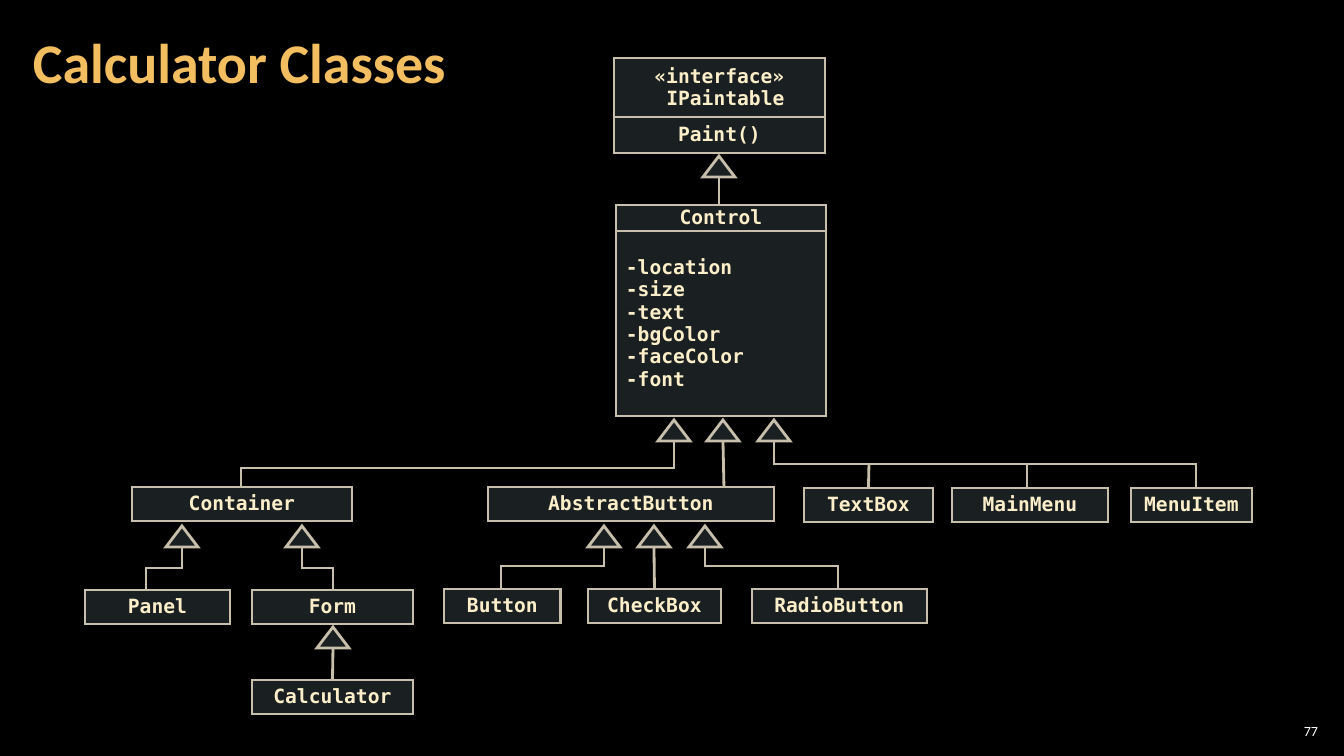
from dataclasses import dataclass

from lxml import etree
from pptx import Presentation
from pptx.dml.color import RGBColor
from pptx.enum.shapes import MSO_CONNECTOR, MSO_SHAPE
from pptx.enum.text import MSO_ANCHOR, PP_ALIGN
from pptx.oxml.ns import qn
from pptx.shapes.autoshape import Shape
from pptx.shapes.connector import Connector
from pptx.slide import Slide
from pptx.text.text import TextFrame
from pptx.util import Emu, Pt

SLIDE_WIDTH, SLIDE_HEIGHT = 1344, 756
EMU_PER_PX = 12192000 / SLIDE_WIDTH

BLACK = RGBColor(0x00, 0x00, 0x00)
WHITE = RGBColor(0xFF, 0xFF, 0xFF)
GOLD = RGBColor(0xF3, 0xBE, 0x60)
CREAM = RGBColor(0xFB, 0xEE, 0xC9)
SAND = RGBColor(0xC7, 0xBF, 0xAC)
ICE = RGBColor(0xB5, 0xDB, 0xE5)
ICE_ALPHA = "15000"

RECTANGLE = MSO_SHAPE.RECTANGLE
STRAIGHT = MSO_CONNECTOR.STRAIGHT
MIDDLE = MSO_ANCHOR.MIDDLE
LEFT, CENTER, RIGHT = PP_ALIGN.LEFT, PP_ALIGN.CENTER, PP_ALIGN.RIGHT
TOP_SITE = 0

SANS = "Calibri"
MONO = "DejaVu Sans Mono"
ARROW_HALF_WIDTH = 16
ARROW_HEIGHT = 21
CHARACTER_WIDTH = 12


@dataclass(frozen=True)
class ClassBox:
    lines: tuple[str, ...]
    left: int
    top: int
    width: int
    height: int = 34
    align: PP_ALIGN = CENTER
    last_line_margin: int = 0


@dataclass(frozen=True)
class Inheritance:
    tip_x: int
    tip_y: int
    child_x: int
    child_top: int
    bend_y: int = 0
    joined_child: str = ""


@dataclass(frozen=True)
class Branch:
    x: int
    top: int
    bottom: int
    joined_child: str = ""


@dataclass(frozen=True)
class Label:
    text: str
    left: int
    top: int
    width: int
    height: int
    side_inset: int
    size: int
    color: RGBColor
    bold: bool
    align: PP_ALIGN
    line_spacing: float


ATTRIBUTES = ("-location", "-size", "-text", "-bgColor", "-faceColor", "-font")

CLASS_BOXES = (
    ClassBox(("Paint()",), 614, 117, 211, 36),
    ClassBox(("«interface»", "IPaintable"), 614, 58, 211, 59,
             last_line_margin=CHARACTER_WIDTH),
    ClassBox(ATTRIBUTES, 616, 231, 210, 185, LEFT),
    ClassBox(("Control",), 616, 205, 210, 26),
    ClassBox(("Container",), 132, 487, 220),
    ClassBox(("AbstractButton",), 488, 487, 286),
    ClassBox(("TextBox",), 804, 488, 129),
    ClassBox(("MainMenu",), 952, 488, 156),
    ClassBox(("MenuItem",), 1131, 488, 121),
    ClassBox(("Panel",), 85, 590, 145),
    ClassBox(("Form",), 252, 590, 161),
    ClassBox(("Button",), 444, 589, 117),
    ClassBox(("CheckBox",), 588, 589, 133),
    ClassBox(("RadioButton",), 752, 589, 175),
    ClassBox(("Calculator",), 252, 680, 161),
)

INHERITANCES = (
    Inheritance(719, 156, 719, 205),
    Inheritance(674, 420, 241, 487, bend_y=468),
    Inheritance(723, 420, 724, 487),
    Inheritance(774, 420, 1196, 488, bend_y=464),
    Inheritance(182, 526, 146, 590, bend_y=568),
    Inheritance(302, 526, 333, 590, bend_y=568),
    Inheritance(604, 526, 501, 589, bend_y=566),
    Inheritance(654, 526, 654, 589, joined_child="CheckBox"),
    Inheritance(705, 526, 838, 589, bend_y=566),
    Inheritance(333, 627, 333, 680, joined_child="Calculator"),
)

BRANCHES = (
    Branch(869, 464, 488, "TextBox"),
    Branch(1027, 464, 488),
)

LABELS = (
    Label("Calculator Classes", 21, 4, 1055, 122, 12, 40, GOLD, True, LEFT, 0.9),
    Label("77", 1275, 720, 47, 21, 4, 10, WHITE, False, RIGHT, 1.0),
)


def px(length: int) -> Emu:
    return Emu(round(length * EMU_PER_PX))


def set_insets(frame: TextFrame, side: int, vertical: int) -> None:
    frame.margin_left = frame.margin_right = px(side)
    frame.margin_top = frame.margin_bottom = px(vertical)
    frame.word_wrap = True
    frame.vertical_anchor = MIDDLE


def style_line(shape: Shape | Connector) -> None:
    shape.line.color.rgb = SAND
    shape.line.width = Pt(2)
    outline = shape._element.spPr.find(qn("a:ln"))
    etree.SubElement(outline, qn("a:miter"), lim="800000")


def style_glass(shape: Shape) -> None:
    shape.shadow.inherit = False
    shape.fill.solid()
    shape.fill.fore_color.rgb = ICE
    color = shape._element.spPr.find(qn("a:solidFill")).find(qn("a:srgbClr"))
    etree.SubElement(color, qn("a:alpha"), val=ICE_ALPHA)
    style_line(shape)


def draw_label(slide: Slide, label: Label) -> None:
    box = slide.shapes.add_textbox(
        px(label.left), px(label.top), px(label.width), px(label.height))
    set_insets(box.text_frame, label.side_inset, 4)
    paragraph = box.text_frame.paragraphs[0]
    paragraph.text = label.text
    paragraph.alignment = label.align
    paragraph.line_spacing = label.line_spacing
    paragraph.font.name = SANS
    paragraph.font.size = Pt(label.size)
    paragraph.font.bold = label.bold
    paragraph.font.color.rgb = label.color


def draw_class_box(slide: Slide, box: ClassBox) -> Shape:
    shape = slide.shapes.add_shape(
        RECTANGLE, px(box.left), px(box.top), px(box.width), px(box.height))
    style_glass(shape)
    frame = shape.text_frame
    set_insets(frame, 10, 0)
    frame.text = "\n".join(box.lines)
    for paragraph in frame.paragraphs:
        paragraph.alignment = box.align
        paragraph.line_spacing = 0.95
        paragraph.font.name = MONO
        paragraph.font.size = Pt(14)
        paragraph.font.bold = True
        paragraph.font.color.rgb = CREAM
    if box.last_line_margin:
        properties = frame.paragraphs[-1]._p.get_or_add_pPr()
        properties.set("marL", str(px(box.last_line_margin)))
    return shape


def draw_outline(slide: Slide, points: list[tuple[int, int]], close: bool) -> Shape:
    builder = slide.shapes.build_freeform(*points[0], scale=EMU_PER_PX)
    builder.add_line_segments(points[1:], close=close)
    return builder.convert_to_shape()


def draw_straight(slide: Slide, start: tuple[int, int], end: tuple[int, int],
                  child: Shape | None) -> None:
    connector = slide.shapes.add_connector(
        STRAIGHT, px(start[0]), px(start[1]), px(end[0]), px(end[1]))
    if child is not None:
        connector.end_connect(child, TOP_SITE)
    style_line(connector)
    etree.SubElement(connector._element.spPr, qn("a:effectLst"))


def draw_inheritance(slide: Slide, link: Inheritance, boxes: dict[str, Shape]) -> None:
    base_y = link.tip_y + ARROW_HEIGHT
    start, end = (link.tip_x, base_y), (link.child_x, link.child_top)
    if link.bend_y:
        bends = [(link.tip_x, link.bend_y), (link.child_x, link.bend_y)]
        elbow = draw_outline(slide, [start, *bends, end], close=False)
        elbow.shadow.inherit = False
        elbow.fill.background()
        style_line(elbow)
    else:
        draw_straight(slide, start, end, boxes.get(link.joined_child))
    corners = [(link.tip_x - ARROW_HALF_WIDTH, base_y),
               (link.tip_x + ARROW_HALF_WIDTH, base_y),
               (link.tip_x, link.tip_y)]
    style_glass(draw_outline(slide, corners, close=True))


def main() -> None:
    presentation = Presentation()
    presentation.slide_width = px(SLIDE_WIDTH)
    presentation.slide_height = px(SLIDE_HEIGHT)
    slide = presentation.slides.add_slide(presentation.slide_layouts[6])
    slide.background.fill.solid()
    slide.background.fill.fore_color.rgb = BLACK
    for label in LABELS:
        draw_label(slide, label)
    boxes = {box.lines[0]: draw_class_box(slide, box) for box in CLASS_BOXES}
    for link in INHERITANCES:
        draw_inheritance(slide, link, boxes)
    for branch in BRANCHES:
        draw_straight(slide, (branch.x, branch.top), (branch.x, branch.bottom),
                      boxes.get(branch.joined_child))
    presentation.save("out.pptx")


if __name__ == "__main__":
    main()
